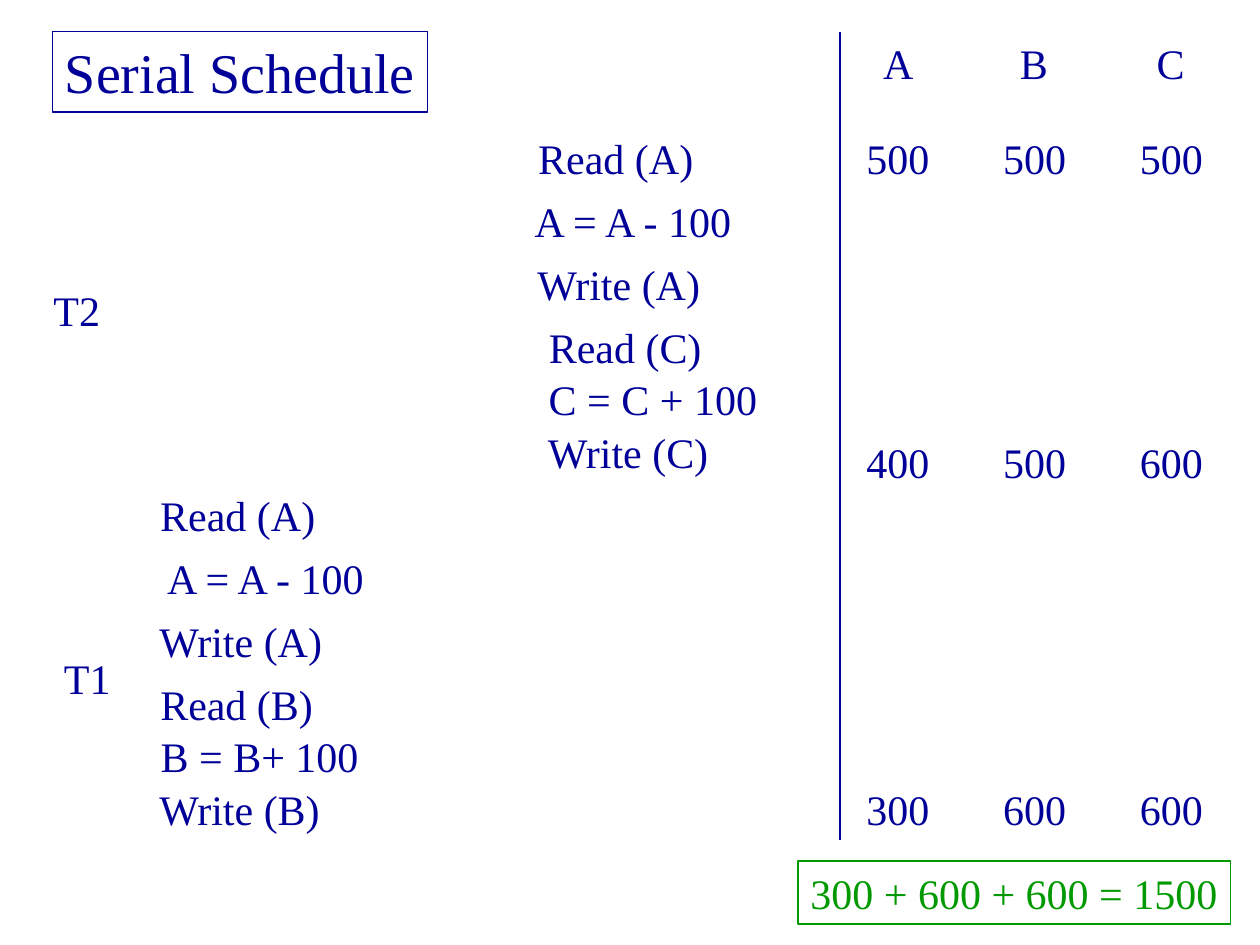
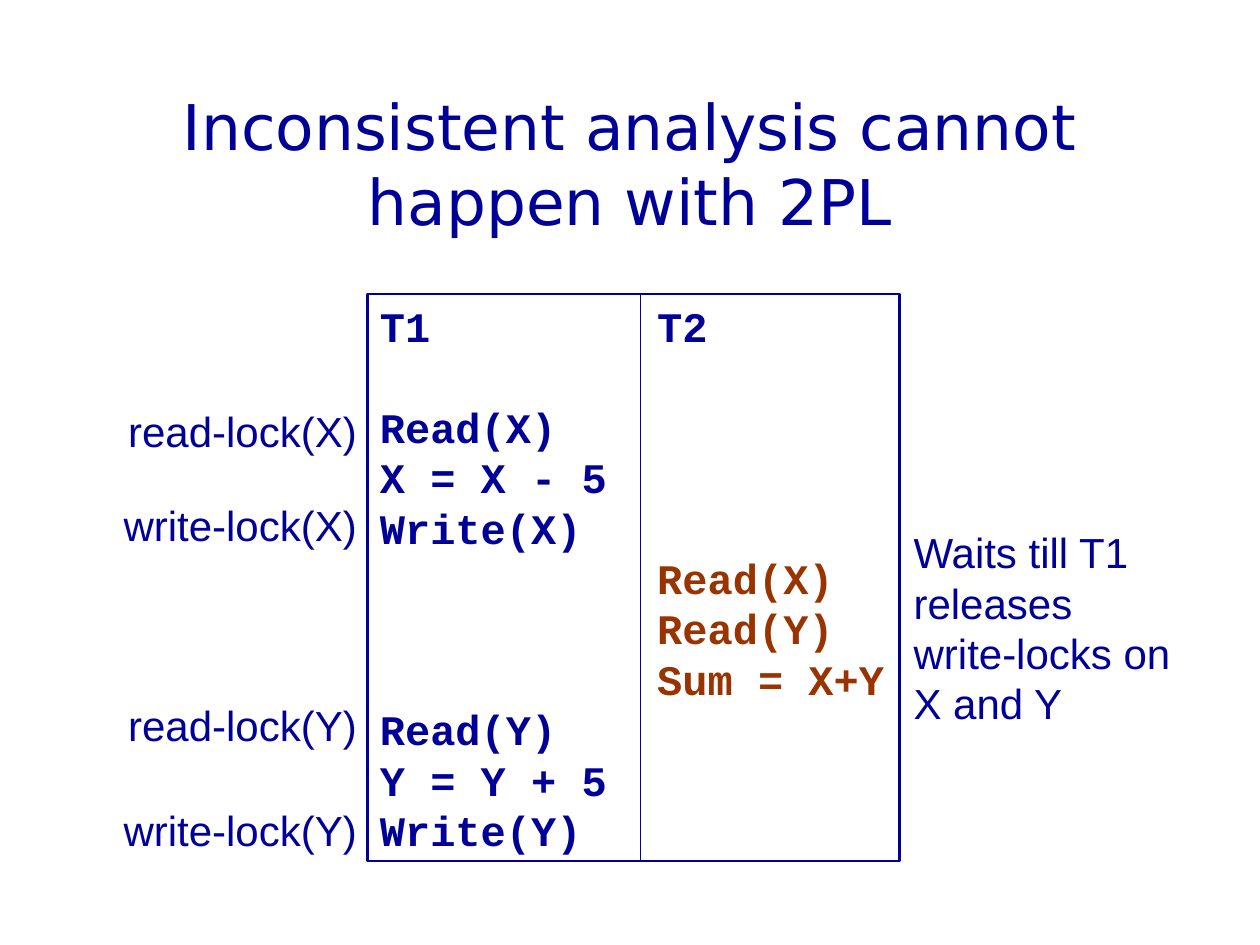
from dataclasses import dataclass

from lxml.etree import SubElement
from pptx import Presentation
from pptx.dml.color import RGBColor
from pptx.enum.shapes import MSO_CONNECTOR, MSO_SHAPE
from pptx.enum.text import MSO_ANCHOR, MSO_AUTO_SIZE, PP_ALIGN
from pptx.oxml.ns import qn
from pptx.util import Pt


@dataclass(frozen=True)
class Theme:
    navy: RGBColor = RGBColor(0x00, 0x00, 0x99)
    green: RGBColor = RGBColor(0x00, 0x99, 0x00)
    rust: RGBColor = RGBColor(0x99, 0x33, 0x00)
    serif: str = "Times New Roman"
    sans: str = "Arial"
    code: str = "Courier New"
    heading: str = "DejaVu Sans"
    body_size: int = 24
    label_size: int = 32
    title_size: int = 36
    line_height: float = 1.2
    thin: float = 0.75
    thick: float = 1.5


THEME = Theme()
ROW_HEIGHT = 36
STEP_OFFSETS = (0, 36, 72, 108, 138, 168)

# Each step: text, left, width
T2_STEPS = (
    ("Read (A)", 300.5, 103),
    ("A = A - 100", 298.5, 130.5),
    ("Write (A)", 300, 114.5),
    ("Read (C)", 306.5, 101.5),
    ("C = C + 100", 306.5, 133.5),
    ("Write (C)", 306, 106.5),
)
T1_STEPS = (
    ("Read (A)", 84.5, 103),
    ("A = A - 100", 88.5, 130.5),
    ("Write (A)", 84, 114.5),
    ("Read (B)", 84.5, 101.5),
    ("B = B+ 100", 84.75, 127.5),
    ("Write (B)", 84, 106.5),
)
# Each row: top, column width, entries for A, B and C
BALANCE_ROWS = (
    (18, 31.5, "ABC"),
    (72, 50.5, ("500", "500", "500")),
    (246, 50.5, ("400", "500", "600")),
    (444, 50.5, ("300", "600", "600")),
)
FIRST_BALANCE_CENTRE, BALANCE_PITCH = 513.25, 78.15

# Each lock: text, top, width
LOCKS = (
    ("read-lock(X)", 228, 145),
    ("write-lock(X)", 282, 148),
    ("read-lock(Y)", 396, 145),
    ("write-lock(Y)", 456, 148),
)
PANEL_LEFT, PANEL_TOP, PANEL_WIDTH, PANEL_HEIGHT = 210, 168, 304, 324
PANEL_DIVIDER = 366
T2_INDENT = 158.5


def points(*lengths):
    return [Pt(length) for length in lengths]


def set_format(target, values):
    for name, value in values.items():
        setattr(target, name, value)


def write_line(paragraph, text, font, size, color, bold=False, align=PP_ALIGN.LEFT):
    set_format(paragraph, {"alignment": align, "line_spacing": Pt(size * THEME.line_height)})
    run = paragraph.add_run()
    run.text = text
    set_format(run.font, {"name": font, "size": Pt(size), "bold": bold})
    run.font.color.rgb = color


def prepare_frame(shape, wrap=False, anchor=MSO_ANCHOR.TOP):
    frame = shape.text_frame
    set_format(frame, {
        "word_wrap": wrap,
        "auto_size": MSO_AUTO_SIZE.NONE if wrap else MSO_AUTO_SIZE.SHAPE_TO_FIT_TEXT,
        "vertical_anchor": anchor,
        "margin_left": Pt(7.2),
        "margin_right": Pt(7.2),
        "margin_top": Pt(3.6),
        "margin_bottom": Pt(3.6),
    })
    return frame


def next_paragraph(frame):
    first = frame.paragraphs[0]
    return frame.add_paragraph() if first.runs else first


def add_text(slide, box, lines, font=THEME.serif, size=THEME.body_size,
             align=PP_ALIGN.LEFT, **frame_format):
    frame = prepare_frame(slide.shapes.add_textbox(*points(*box)), **frame_format)
    for text in lines:
        write_line(next_paragraph(frame), text, font, size, THEME.navy, align=align)


def add_outline(slide, box, color, width):
    shape = slide.shapes.add_shape(MSO_SHAPE.RECTANGLE, *points(*box))
    shape.shadow.inherit = False
    shape.fill.background()
    shape.line.color.rgb = color
    shape.line.width = Pt(width)
    return shape


def add_framed_text(slide, box, text, size, color):
    frame = prepare_frame(add_outline(slide, box, color, THEME.thin))
    write_line(frame.paragraphs[0], text, THEME.serif, size, color)


def add_vertical_rule(slide, left, top, bottom):
    rule = slide.shapes.add_connector(MSO_CONNECTOR.STRAIGHT, *points(left, top, left, bottom))
    rule.line.color.rgb = THEME.navy
    rule.line.width = Pt(THEME.thin)
    SubElement(rule.element.spPr, qn("a:effectLst"))


def add_steps(slide, top, steps):
    for offset, (text, left, width) in zip(STEP_OFFSETS, steps):
        add_text(slide, (left, top + offset, width, ROW_HEIGHT), [text])


def add_balances(slide):
    for top, width, entries in BALANCE_ROWS:
        for column, entry in enumerate(entries):
            left = FIRST_BALANCE_CENTRE + column * BALANCE_PITCH - width / 2
            add_text(slide, (left, top, width, ROW_HEIGHT), [entry])


def add_tab_stop(paragraph, position):
    tabs = SubElement(paragraph._p.get_or_add_pPr(), qn("a:tabLst"))
    SubElement(tabs, qn("a:tab"), pos=str(Pt(position)), algn="l")


def add_transaction_panel(slide):
    """Draw the two-column panel; T2 steps are indented into the right column."""
    panel = add_outline(slide, (PANEL_LEFT, PANEL_TOP, PANEL_WIDTH, PANEL_HEIGHT),
                        THEME.navy, THEME.thick)
    frame = prepare_frame(panel, wrap=True)
    # Each group: lines, colour, indent, space before
    groups = (
        (("T1\tT2",), THEME.navy, 0, 0),
        (("Read(X)", "X = X - 5", "Write(X)"), THEME.navy, 0, 29),
        (("Read(X)", "Read(Y)", "Sum = X+Y"), THEME.rust, T2_INDENT, 0),
        (("Read(Y)", "Y = Y + 5", "Write(Y)"), THEME.navy, 0, 0),
    )
    for lines, color, indent, gap in groups:
        for number, text in enumerate(lines):
            paragraph = next_paragraph(frame)
            write_line(paragraph, text, THEME.code, THEME.body_size, color, bold=True)
            paragraph.space_before = Pt(0 if number else gap)
            paragraph._p.get_or_add_pPr().set("marL", str(Pt(indent)))
    add_tab_stop(frame.paragraphs[0], T2_INDENT)
    add_vertical_rule(slide, PANEL_DIVIDER, PANEL_TOP, PANEL_TOP + PANEL_HEIGHT)


def build_serial_schedule(slide):
    add_steps(slide, 276, T1_STEPS)
    add_steps(slide, 72, T2_STEPS)
    add_vertical_rule(slide, 480, 18, 480)
    add_balances(slide)
    add_framed_text(slide, (456, 492, 247, ROW_HEIGHT), "300 + 600 + 600 = 1500",
                    THEME.body_size, THEME.green)
    add_framed_text(slide, (30, 18, 214.5, 46), "Serial Schedule",
                    THEME.label_size, THEME.navy)
    for name, left, top in (("T2", 23.5, 159), ("T1", 29.5, 369.5)):
        add_text(slide, (left, top, 41, ROW_HEIGHT), [name])


def build_two_phase_locking(slide):
    add_text(slide, (54, 48, 612, 90), ["Inconsistent analysis cannot happen with 2PL"],
             THEME.heading, THEME.title_size, PP_ALIGN.CENTER,
             wrap=True, anchor=MSO_ANCHOR.MIDDLE)
    add_transaction_panel(slide)
    for text, top, width in LOCKS:
        add_text(slide, (PANEL_LEFT + 1 - width, top, width, ROW_HEIGHT), [text],
                 THEME.sans, align=PP_ALIGN.RIGHT)
    add_text(slide, (515, 297.5, 161, 122.5),
             ["Waits till T1", "releases", "write-locks on", "X and Y"], THEME.sans)


def main():
    presentation = Presentation()
    presentation.slide_width, presentation.slide_height = points(720, 540)
    blank = presentation.slide_layouts[6]
    for build in (build_serial_schedule, build_two_phase_locking):
        build(presentation.slides.add_slide(blank))
    presentation.save("out.pptx")


if __name__ == "__main__":
    main()
